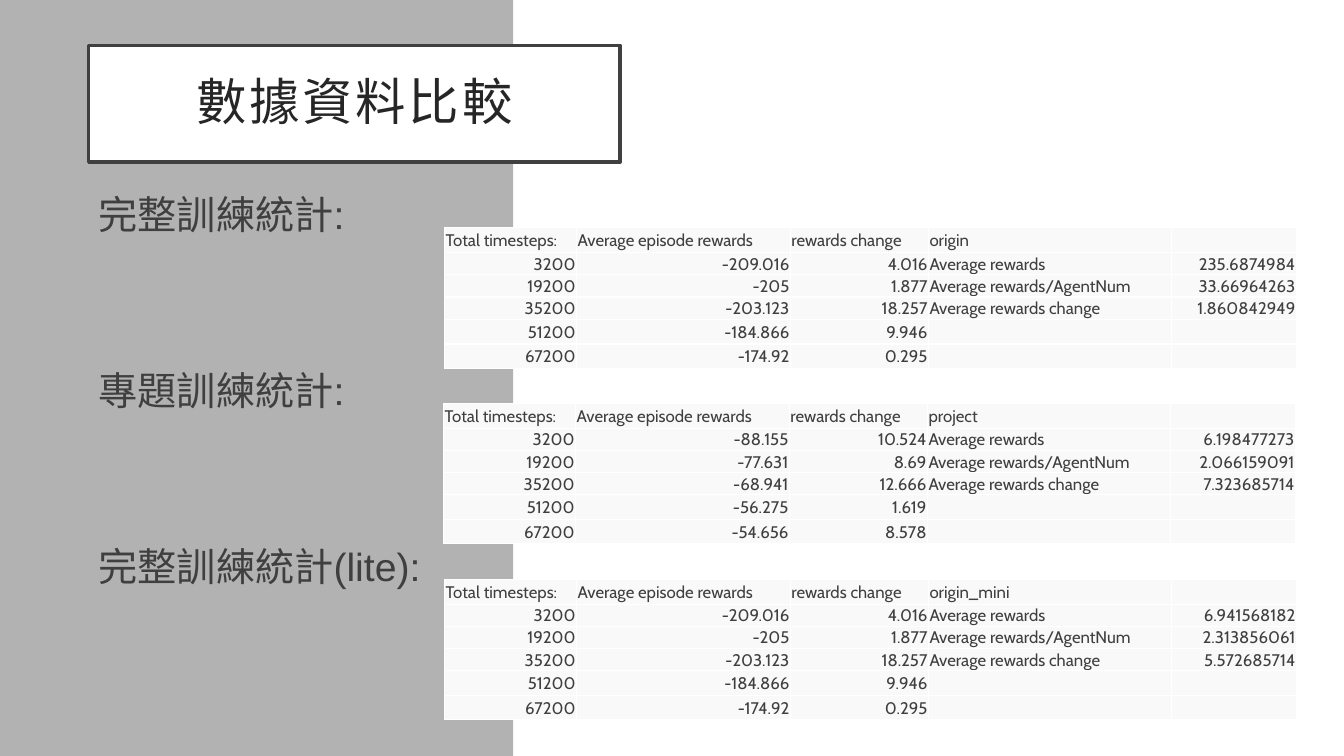
from lxml.etree import SubElement
from pptx import Presentation
from pptx.dml.color import RGBColor
from pptx.enum.shapes import MSO_SHAPE
from pptx.enum.text import MSO_ANCHOR, MSO_AUTO_SIZE, PP_ALIGN
from pptx.oxml import parse_xml
from pptx.oxml.ns import nsdecls, qn
from pptx.util import Inches, Pt

COLORS = {"panel": "B2B2B2", "white": "FFFFFF", "frame": "404040",
          "title": "262626", "text": "3F3F3F", "cell": "F9F9F9"}
COLUMN_WIDTHS = [1.31, 2.12, 1.37, 2.41, 1.24]
ROW_HEIGHT = 0.22
HEADERS = ["Total timesteps:", "Average episode rewards", "rewards change"]
TIMESTEPS = ["3200", "19200", "35200", "51200", "67200"]
SUMMARY_NAMES = ["Average rewards", "Average rewards/AgentNum",
                 "Average rewards change"]

FULL_REWARDS = ["-209.016", "-205", "-203.123", "-184.866", "-174.92"]
FULL_CHANGES = ["4.016", "1.877", "18.257", "9.946", "0.295"]
PROJECT_REWARDS = ["-88.155", "-77.631", "-68.941", "-56.275", "-54.656"]
PROJECT_CHANGES = ["10.524", "8.69", "12.666", "1.619", "8.578"]

# label, label width, table left, run name, rewards, changes, summary values
SECTIONS = [
    ("完整訓練統計:", 2.65, 4.41, "origin", FULL_REWARDS, FULL_CHANGES,
     ["235.6874984", "33.66964263", "1.860842949"]),
    ("專題訓練統計:", 2.65, 4.4, "project", PROJECT_REWARDS, PROJECT_CHANGES,
     ["6.198477273", "2.066159091", "7.323685714"]),
    ("完整訓練統計(lite):", 3.46, 4.41, "origin_mini", FULL_REWARDS,
     FULL_CHANGES, ["6.941568182", "2.313856061", "5.572685714"]),
]


def color(name):
    return RGBColor.from_string(COLORS[name])


def format_run(run, size, font_name, color_name):
    run.font.size = Pt(size)
    run.font.name = font_name
    run.font.color.rgb = color(color_name)
    properties = run._r.get_or_add_rPr()
    SubElement(properties, qn("a:ea")).set("typeface", font_name)


def add_title(slide, left, top, width, height):
    title = slide.shapes.title
    title.left, title.top = Inches(left), Inches(top)
    title.width, title.height = Inches(width), Inches(height)
    title.fill.solid()
    title.fill.fore_color.rgb = color("white")
    title.line.color.rgb = color("frame")
    title.line.width = Pt(2.5)
    frame = title.text_frame
    frame.text = "數據資料比較"
    frame.auto_size = MSO_AUTO_SIZE.NONE
    frame.vertical_anchor = MSO_ANCHOR.MIDDLE
    frame.margin_left = frame.margin_right = Inches(0.3)
    frame.margin_top = frame.margin_bottom = Inches(0.2)
    paragraph = frame.paragraphs[0]
    paragraph.alignment = PP_ALIGN.CENTER
    paragraph.line_spacing = 0.9
    run = paragraph.runs[0]
    format_run(run, 36, "Cabin", "title")
    run._r.get_or_add_rPr().set("spc", "200")


def add_panel(slide, left, top, width, height):
    panel = slide.shapes.add_shape(
        MSO_SHAPE.RECTANGLE, Inches(left), Inches(top),
        Inches(width), Inches(height))
    panel.shadow.inherit = False
    panel.fill.solid()
    panel.fill.fore_color.rgb = color("panel")
    panel.line.fill.background()
    # The panel lies behind the title
    slide.shapes.title._element.addprevious(panel._element)


def add_label(slide, text, left, top, width, height):
    label = slide.shapes.add_textbox(
        Inches(left), Inches(top), Inches(width), Inches(height))
    frame = label.text_frame
    frame.text = text
    frame.word_wrap = False
    frame.auto_size = MSO_AUTO_SIZE.SHAPE_TO_FIT_TEXT
    format_run(frame.paragraphs[0].runs[0], 28, "Arial", "text")


def fill_cell(cell, text, right_aligned):
    cell.margin_left = cell.margin_top = cell.margin_right = Inches(0.01)
    cell.margin_bottom = 0
    cell.vertical_anchor = MSO_ANCHOR.MIDDLE
    paragraph = cell.text_frame.paragraphs[0]
    if text:
        paragraph.text = text
        format_run(paragraph.runs[0], 12, "Cabin", "text")
        if right_aligned:
            paragraph.alignment = PP_ALIGN.RIGHT
    else:
        SubElement(paragraph._p, qn("a:endParaRPr")).set("sz", "1400")
    # Borders come before the fill in the cell properties
    properties = cell._tc.get_or_add_tcPr()
    for side in ("lnL", "lnR", "lnT", "lnB"):
        properties.append(parse_xml(
            f'<a:{side} {nsdecls("a")} w="{Pt(1)}"><a:solidFill>'
            f'<a:srgbClr val="{COLORS["white"]}"/></a:solidFill></a:{side}>'))
    cell.fill.solid()
    cell.fill.fore_color.rgb = color("cell")


def add_rewards_table(slide, rows, left, top):
    table = slide.shapes.add_table(
        len(rows), len(COLUMN_WIDTHS), Inches(left), Inches(top),
        Inches(sum(COLUMN_WIDTHS)), Inches(ROW_HEIGHT * len(rows))).table
    table.first_row = table.horz_banding = False
    for column, width in zip(table.columns, COLUMN_WIDTHS):
        column.width = Inches(width)
    for row_index, values in enumerate(rows):
        table.rows[row_index].height = Inches(ROW_HEIGHT)
        for column_index, text in enumerate(values):
            is_number = row_index > 0 and column_index != 3
            fill_cell(table.cell(row_index, column_index), text, is_number)


def add_section(slide, section, left, top):
    text, label_width, table_left, name, rewards, changes, summary = section
    names = SUMMARY_NAMES + ["", ""]
    rows = [HEADERS + [name, ""]]
    rows += zip(TIMESTEPS, rewards, changes, names, summary + ["", ""])
    add_rewards_table(slide, rows, table_left, top + 0.42)
    add_label(slide, text, left, top, label_width, 0.57)


def main():
    presentation = Presentation()
    presentation.slide_width = Inches(13.33)
    presentation.slide_height = Inches(7.5)
    slide = presentation.slides.add_slide(presentation.slide_layouts[5])
    add_title(slide, 0.88, 0.45, 5.27, 1.16)
    add_panel(slide, 0, 0, 5.09, 7.5)
    for index, section in enumerate(SECTIONS):
        add_section(slide, section, 0.88, 1.84 + index * 1.745)
    presentation.save("out.pptx")


if __name__ == "__main__":
    main()
